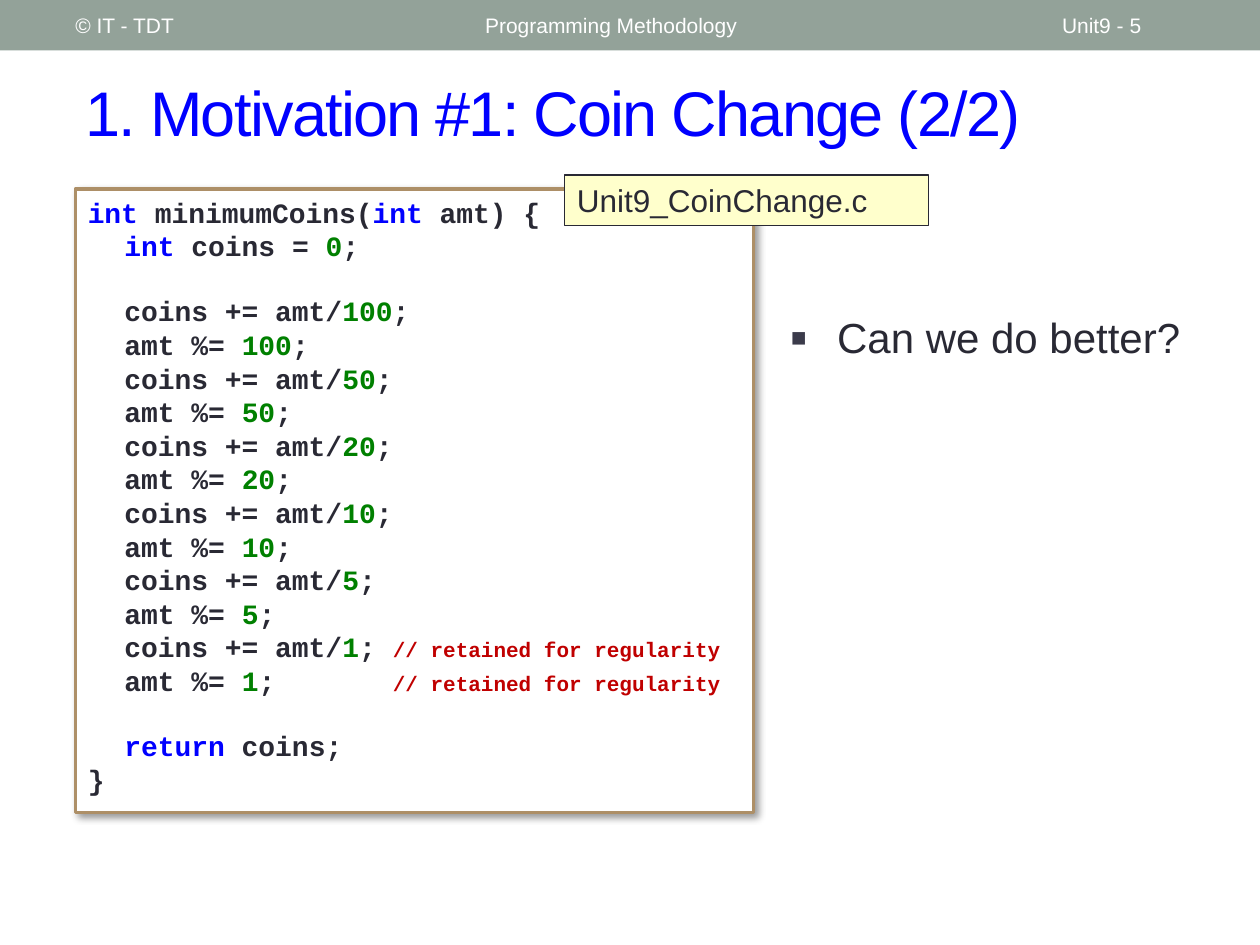
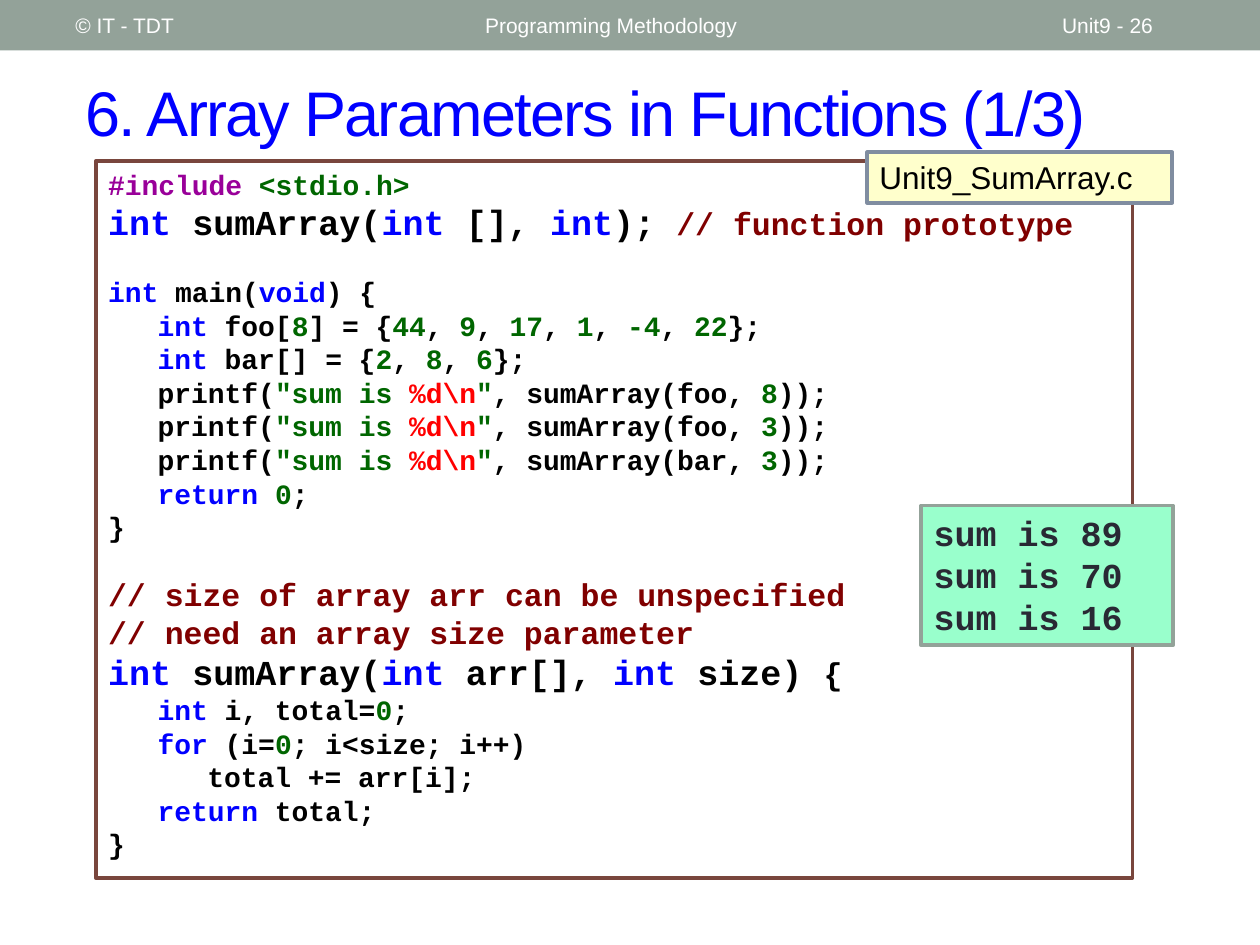
from dataclasses import dataclass

from pptx import Presentation
from pptx.dml.color import RGBColor
from pptx.enum.shapes import MSO_SHAPE
from pptx.enum.text import MSO_ANCHOR, MSO_AUTO_SIZE, PP_ALIGN
from pptx.oxml import parse_xml
from pptx.oxml.ns import nsdecls, qn
from pptx.util import Cm, Pt


@dataclass(frozen=True)
class Theme:
    sans: str = "Arial"
    mono: str = "Courier New"
    white: str = "FFFFFF"
    black: str = "000000"
    ink: str = "292934"
    blue: str = "0000FF"
    sage: str = "93A299"
    bullet: str = "3B3B4B"
    tan: str = "AD8F67"
    brown: str = "79463D"
    slate: str = "808DA0"
    cream: str = "FFFFCC"
    mint: str = "99FFCC"
    green: str = "008000"
    forest: str = "006600"
    red: str = "FF0000"
    crimson: str = "C00000"
    maroon: str = "800000"
    purple: str = "990099"
    title_size: int = 36
    list_size: int = 24
    big: int = 20
    mid: int = 18
    code_size: int = 16
    small: int = 12
    gap: float = 18.1  # height of one code line
    thin: float = 0.75
    thick: float = 2.08


@dataclass(frozen=True)
class Line:
    """Code line: ~k...~ marks text of role k; gap is the space above in points."""
    text: str
    depth: int = 0
    size: int = Theme.code_size
    gap: float = 0


def write(frame, lines, *, font, size, color, bold=False, roles=None,
          track=0, tabs=(), anchor=MSO_ANCHOR.TOP):
    """Fill a text frame; roles maps a mark to its (colour, size or None)."""
    frame.word_wrap = True
    frame.auto_size = MSO_AUTO_SIZE.NONE
    frame.vertical_anchor = anchor
    for i, line in enumerate(lines):
        if isinstance(line, str):
            line = Line(line, size=size)
        para = frame.add_paragraph() if i else frame.paragraphs[0]
        para.alignment = PP_ALIGN.LEFT
        if line.gap:
            para.space_before = Pt(line.gap)
        if tabs:
            stops = "".join(f'<a:tab pos="{Cm(t)}" algn="l"/>' for t in tabs)
            para._p.get_or_add_pPr().append(
                parse_xml(f'<a:tabLst {nsdecls("a")}>{stops}</a:tabLst>'))
        parts = ("\t" * line.depth + line.text).split("~")
        for n, part in enumerate(parts):
            hue, pts = color, None
            if n % 2:
                hue, pts = roles[part[0]]
                part = part[1:]
            if not part:
                continue
            run = para.add_run()
            run.text = part
            run.font.name = font
            run.font.size = Pt(pts or line.size)
            run.font.bold = bold
            run.font.color.rgb = RGBColor.from_string(hue)
            if track:
                run._r.get_or_add_rPr().set("spc", str(track * 100))


class Deck:
    def __init__(self, theme):
        self.theme = theme
        self.prs = Presentation()
        self.prs.slide_width, self.prs.slide_height = Cm(25.4), Cm(19.05)
        self.slide = None

    def start(self, title, page, layout):
        """Add a slide with the shared band, header texts and title."""
        t = self.theme
        self.slide = self.prs.slides.add_slide(self.prs.slide_layouts[layout])
        self.box((0, 0, 25.4, 1.02), t.sage)
        for text, left, width in (("Programming Methodology", 9.53, 11.43),
                                  (f"Unit9 - {page}", 21.16, 2.97),
                                  ("© IT - TDT", 1.27, 8.05)):
            area = self.slide.shapes.add_textbox(
                Cm(left), Cm(0.05), Cm(width), Cm(0.91))
            write(area.text_frame, [text], font=t.sans, size=t.small,
                  color=t.white, anchor=MSO_ANCHOR.MIDDLE)
        head = self.slide.shapes.title
        self.place(head, (1.47, 1.07, 23.29, 2.34))
        write(head.text_frame, [title], font=t.sans, size=t.title_size,
              color=t.blue, track=-1, anchor=MSO_ANCHOR.MIDDLE)

    def place(self, shape, at):
        shape.left, shape.top, shape.width, shape.height = map(Cm, at)

    def box(self, at, fill, edge=None, width=0):
        shape = self.slide.shapes.add_shape(MSO_SHAPE.RECTANGLE, *map(Cm, at))
        shape.shadow.inherit = False
        shape.fill.solid()
        shape.fill.fore_color.rgb = RGBColor.from_string(fill)
        if edge:
            shape.line.color.rgb = RGBColor.from_string(edge)
            shape.line.width = Pt(width)
        else:
            shape.line.fill.background()
        return shape

    def code(self, at, lines, edge, color, roles, tabs):
        t = self.theme
        shape = self.box(at, t.white, edge, t.thick)
        write(shape.text_frame, lines, font=t.mono, size=t.code_size,
              color=color, bold=True, roles=roles, tabs=tabs)
        return shape

    def shade(self, shape):
        """Give a shape a soft shadow to the lower right."""
        shape._element.spPr.find(qn("a:effectLst")).append(parse_xml(
            f'<a:outerShdw {nsdecls("a")} blurRad="{Pt(4)}" dist="{Pt(3)}" '
            'dir="2700000" algn="tl" rotWithShape="0">'
            f'<a:srgbClr val="{self.theme.black}"><a:alpha val="40000"/>'
            '</a:srgbClr></a:outerShdw>'))

    def tag(self, at, name, edge, width, color):
        t = self.theme
        shape = self.box(at, t.cream, edge, width)
        write(shape.text_frame, [name], font=t.sans, size=t.mid, color=color)

    def output(self, at, lines):
        t = self.theme
        shape = self.box(at, t.mint, t.sage, t.thick)
        write(shape.text_frame, lines, font=t.mono, size=t.big,
              color=t.ink, bold=True)

    def points(self, at, items):
        t = self.theme
        body = self.slide.placeholders[1]
        self.place(body, at)
        write(body.text_frame, [Line(i, size=t.list_size, gap=12) for i in items],
              font=t.sans, size=t.list_size, color=t.ink)
        for para in body.text_frame.paragraphs:
            props = para._p.get_or_add_pPr()
            props.set("marL", str(Cm(0.95)))
            props.set("indent", str(-Cm(0.95)))
            for xml in (f'<a:buClr {nsdecls("a")}><a:srgbClr val="{t.bullet}"/></a:buClr>',
                        f'<a:buSzPct {nsdecls("a")} val="120000"/>',
                        f'<a:buFont {nsdecls("a")} typeface="{t.sans}"/>',
                        f'<a:buChar {nsdecls("a")} char="▪"/>'):
                props.append(parse_xml(xml))


def coins(deck):
    t = deck.theme
    deck.start("1. Motivation #1: Coin Change (2/2)", 5, layout=1)
    lines = [Line("~kint~ minimumCoins(~kint~ amt) {"),
             Line("~kint~ coins = ~n0~;", 1)]
    for coin in (100, 50, 20, 10, 5, 1):
        note = "\t~c// retained for regularity~" if coin == 1 else ""
        lines += [Line(f"coins += amt/~n{coin}~;{note}", 1,
                       gap=t.gap if coin == 100 else 0),
                  Line(f"amt %= ~n{coin}~;{note}", 1)]
    lines += [Line("~kreturn~ coins;", 1, gap=t.gap), Line("}")]
    roles = {"k": (t.blue, None), "n": (t.green, None), "c": (t.crimson, t.small)}
    panel = deck.code((1.52, 3.81, 13.67, 12.57), lines, t.tan, t.ink, roles,
                      tabs=(0.74, 6.15))
    deck.shade(panel)
    deck.tag((11.38, 3.53, 7.34, 1.02), "Unit9_CoinChange.c", t.ink, t.thin, t.ink)
    deck.points((15.67, 6.15, 8.51, 1.63), ["Can we do better?"])


def arrays(deck):
    t = deck.theme
    deck.start("6. Array Parameters in Functions (1/3)", 26, layout=5)
    calls = [Line(rf'printf(~n"sum is ~~f%d\n~~n"~, sumArray({name}, ~n{size}~));', 1)
             for name, size in (("foo", 8), ("foo", 3), ("bar", 3))]
    lines = [
        Line("~p#include ~~n<stdio.h>~"),
        Line("~kint~ sumArray(~kint~ [], ~kint~); ~c// function prototype~",
             size=t.big),
        Line("~kint~ main(~kvoid~) {", gap=t.gap),
        Line("~kint~ foo[~n8~] = {~n44~, ~n9~, ~n17~, ~n1~, ~n-4~, ~n22~};", 1),
        Line("~kint~ bar[] = {~n2~, ~n8~, ~n6~};", 1),
        *calls,
        Line("~kreturn~ ~n0~;", 1),
        Line("}"),
        Line("~c// size of array arr can be unspecified~", size=t.mid, gap=t.gap),
        Line("~c// need an array size parameter~", size=t.mid),
        Line("~kint~ sumArray(~kint~ arr[], ~kint~ size) ~b{~", size=t.big),
        Line("~kint~ i, total=~n0~;", 1),
        Line("~kfor~ (i=~n0~; i<size; i++)", 1),
        Line("total += arr[i];", 2),
        Line("~kreturn~ total;", 1),
        Line("}"),
    ]
    # Adjacent marks leave an empty plain part between them, which is skipped.
    roles = {"k": (t.blue, None), "n": (t.forest, None), "f": (t.red, None),
             "p": (t.purple, None), "c": (t.maroon, t.mid), "b": (t.black, t.mid)}
    deck.code((1.93, 3.25, 20.9, 14.45), lines, t.brown, t.black, roles,
              tabs=(1, 2, 3))
    deck.tag((17.48, 3.07, 6.15, 1.02), "Unit9_SumArray.c", t.slate, t.thick, t.black)
    deck.output((18.57, 10.19, 5.08, 2.82),
                [f"sum is {total}" for total in (89, 70, 16)])


def main():
    deck = Deck(Theme())
    coins(deck)
    arrays(deck)
    deck.prs.save("out.pptx")


if __name__ == "__main__":
    main()
